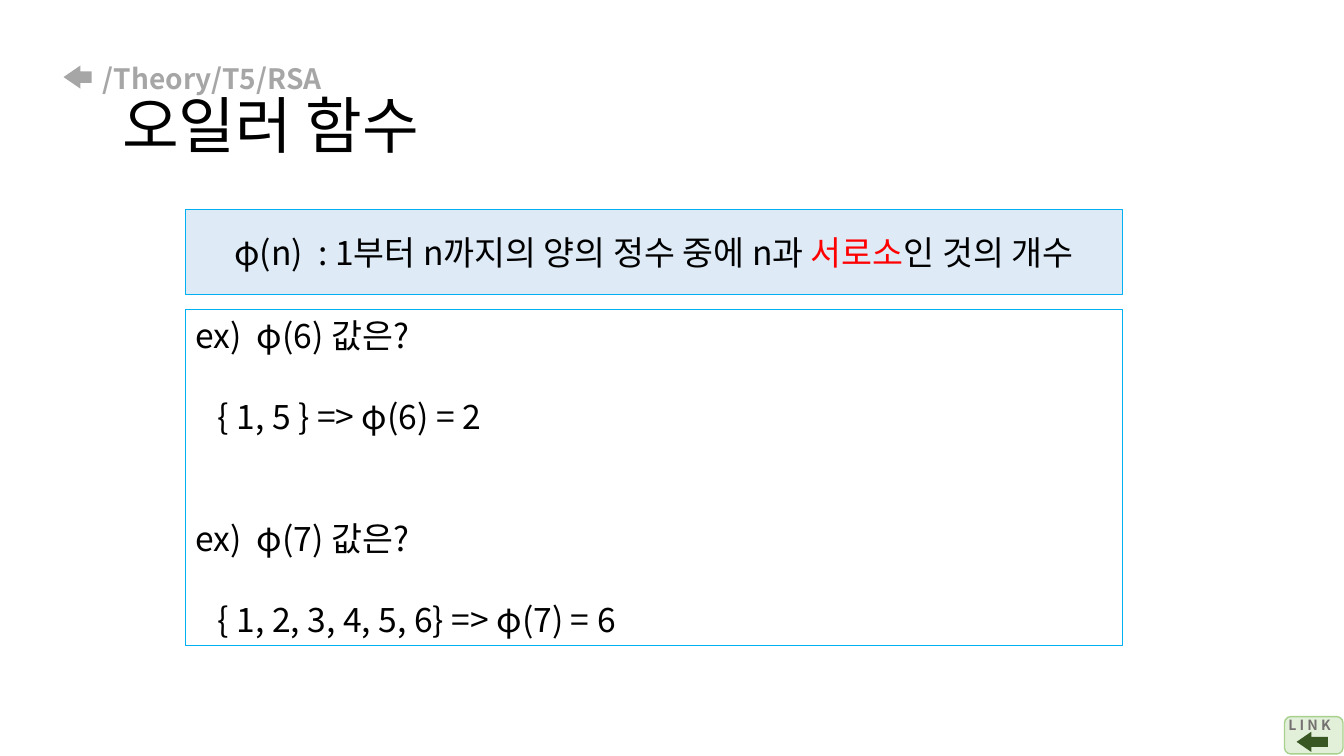
import pptx
import pptx.util
import pptx.dml.color
import pptx.enum.shapes
import pptx.enum.text
import pptx.oxml.ns
import lxml.etree

Inches, Pt = pptx.util.Inches, pptx.util.Pt
SHAPE = pptx.enum.shapes.MSO_SHAPE
ALIGN = pptx.enum.text.PP_ALIGN
ANCHOR = pptx.enum.text.MSO_ANCHOR

FONT = "Noto Sans CJK KR"
BLACK, RED, GREY, BLUE = "000000", "FF0000", "A6A6A6", "00B0F0"
CRUMB, TITLE = "/Theory/T5/RSA", "오일러 함수"
RULE = [
    ("φ(n)  : 1부터 n까지의 양의 정수 중에 n과 ", BLACK),
    ("서로소", RED),
    ("인 것의 개수", BLACK),
]
# text, indent in inches, empty lines above
EXAMPLES = [
    ("ex)  φ(6) 값은?", 0, 0),
    ("{ 1, 5 } => φ(6) = 2", 0.22, 1),
    ("ex)  φ(7) 값은?", 0, 2),
    ("{ 1, 2, 3, 4, 5, 6} => φ(7) = 6", 0.22, 1),
]
LEFT, WIDTH = 1.84, 9.29
PITCH = 29


def color(code):
    return pptx.dml.color.RGBColor.from_string(code)


def write(para, text, size, code, bold=False):
    run = para.add_run()
    run.text = text
    font = run.font
    font.name, font.size, font.bold = FONT, Pt(size), bold
    font.color.rgb = color(code)
    east = lxml.etree.SubElement(run._r.get_or_add_rPr(), pptx.oxml.ns.qn("a:ea"))
    east.set("typeface", FONT)


def indent(para, inches):
    para._p.get_or_add_pPr().set("marL", str(Inches(inches)))


def draw(shapes, kind, box, fill=None, line=None, weight=0.75):
    shape = shapes.add_shape(kind, *map(Inches, box))
    shape.shadow.inherit = False
    if fill:
        shape.fill.solid()
        shape.fill.fore_color.rgb = color(fill)
    else:
        shape.fill.background()
    if line:
        shape.line.color.rgb = color(line)
        shape.line.width = Pt(weight)
    else:
        shape.line.fill.background()
    return shape


def arrow(shapes, box, fill):
    shape = draw(shapes, SHAPE.LEFT_ARROW, box, fill)
    shape.adjustments[0], shape.adjustments[1] = 0.5, 0.73


def head(slide):
    title = slide.shapes.title
    title.left, title.top = Inches(0.92), Inches(0.4)
    title.width, title.height = Inches(11.5), Inches(1.45)
    frame = title.text_frame
    frame.vertical_anchor = ANCHOR.MIDDLE
    frame.word_wrap = True
    crumb, name = frame.paragraphs[0], frame.add_paragraph()
    for para in (crumb, name):
        para.alignment = ALIGN.LEFT
        para.line_spacing = 0.9
        para.space_before = Pt(0)
    write(crumb, CRUMB, 20, GREY, True)
    indent(name, 0.19)
    write(name, TITLE, 44, BLACK)
    arrow(slide.shapes, (0.63, 0.65, 0.28, 0.23), GREY)


def link(slide):
    """Draw the back button in the lower right corner."""
    shapes = slide.shapes.add_group_shape().shapes
    draw(shapes, SHAPE.ROUNDED_RECTANGLE, (12.74, 7.11, 0.58, 0.37), "E2F0D9", "A9D18E", 1)
    label = shapes.add_textbox(*map(Inches, (12.68, 7.06, 0.65, 0.44)))
    label.text_frame.word_wrap = False
    write(label.text_frame.paragraphs[0], "L I N K", 10, "767171", True)
    arrow(shapes, (12.86, 7.26, 0.31, 0.2), "385723")


def rule(slide):
    box = draw(slide.shapes, SHAPE.RECTANGLE, (LEFT, 2.08, WIDTH, 0.84), "DEEBF7", BLUE)
    frame = box.text_frame
    frame.vertical_anchor = ANCHOR.MIDDLE
    frame.word_wrap = True
    para = frame.paragraphs[0]
    para.alignment = ALIGN.CENTER
    for text, code in RULE:
        write(para, text, 24, code)


def samples(slide):
    box = draw(slide.shapes, SHAPE.RECTANGLE, (LEFT, 3.07, WIDTH, 3.33), line=BLUE)
    frame = box.text_frame
    frame.vertical_anchor = ANCHOR.TOP
    frame.word_wrap = True
    for row, (text, left, gap) in enumerate(EXAMPLES):
        para = frame.add_paragraph() if row else frame.paragraphs[0]
        para.alignment = ALIGN.LEFT
        para.line_spacing = Pt(PITCH)
        para.space_before = Pt(PITCH * gap)
        indent(para, left)
        write(para, text, 24, BLACK)


def main():
    deck = pptx.Presentation()
    deck.slide_width, deck.slide_height = Inches(13.33), Inches(7.5)
    slide = deck.slides.add_slide(deck.slide_layouts[5])
    head(slide)
    link(slide)
    rule(slide)
    samples(slide)
    deck.save("out.pptx")


if __name__ == "__main__":
    main()
